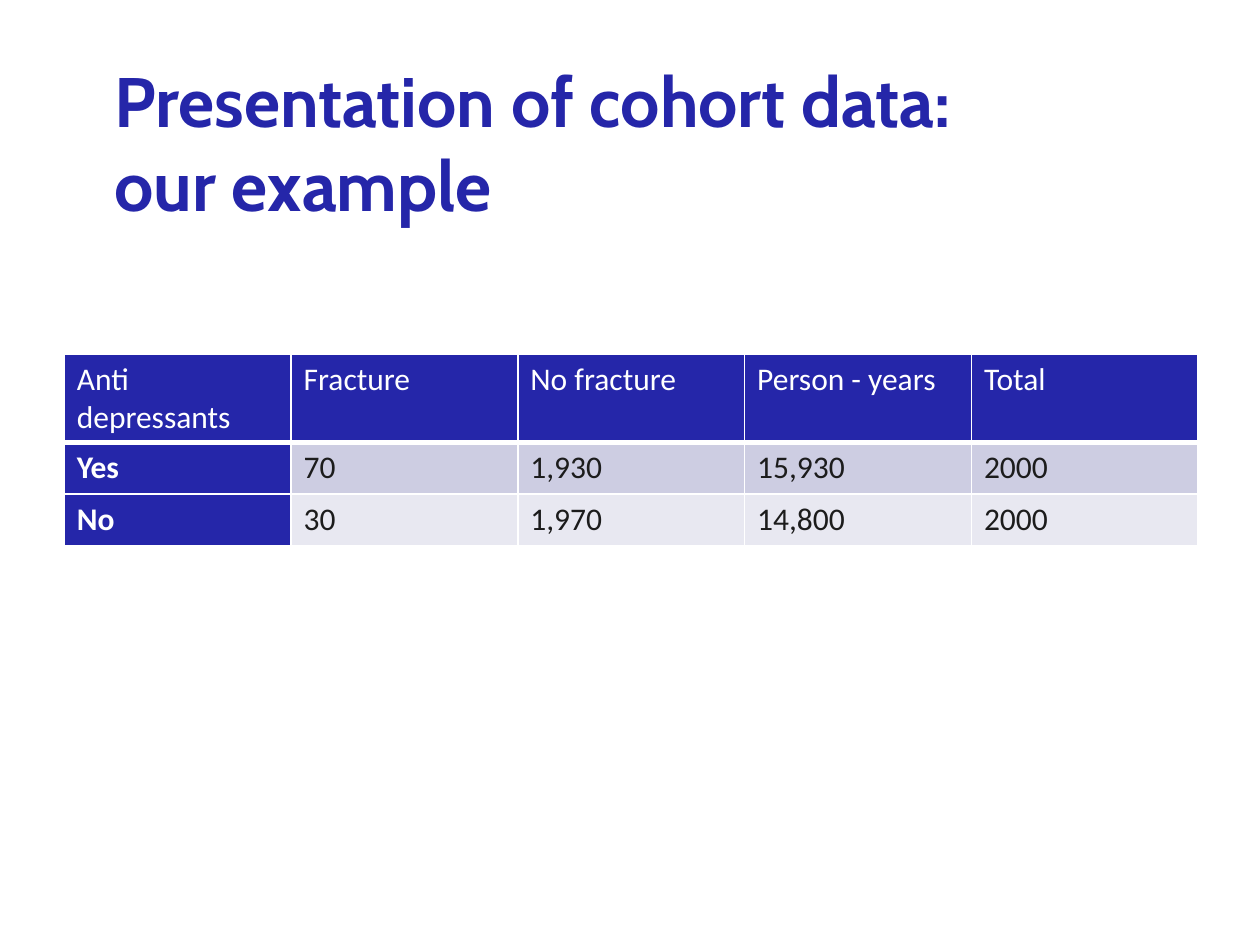
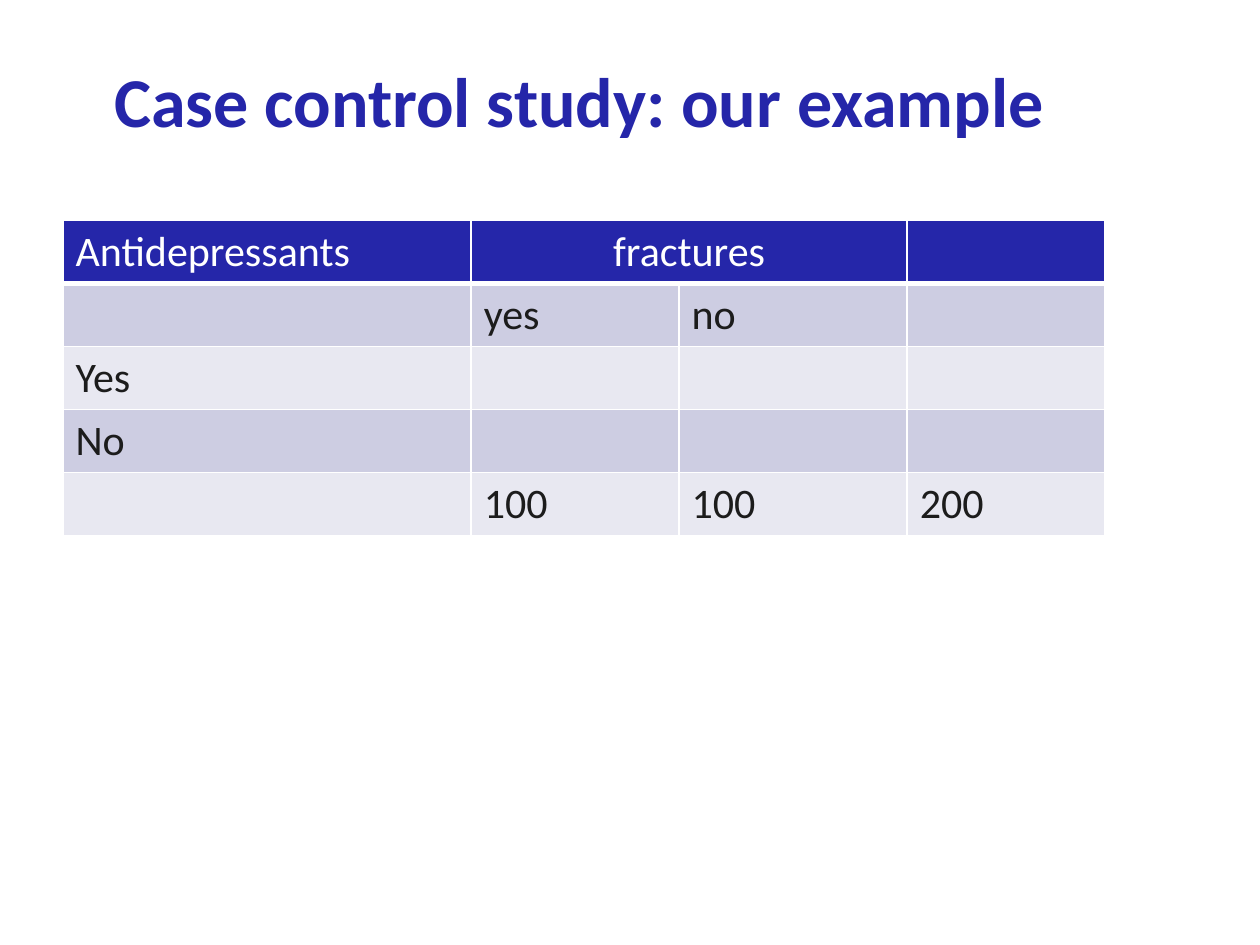
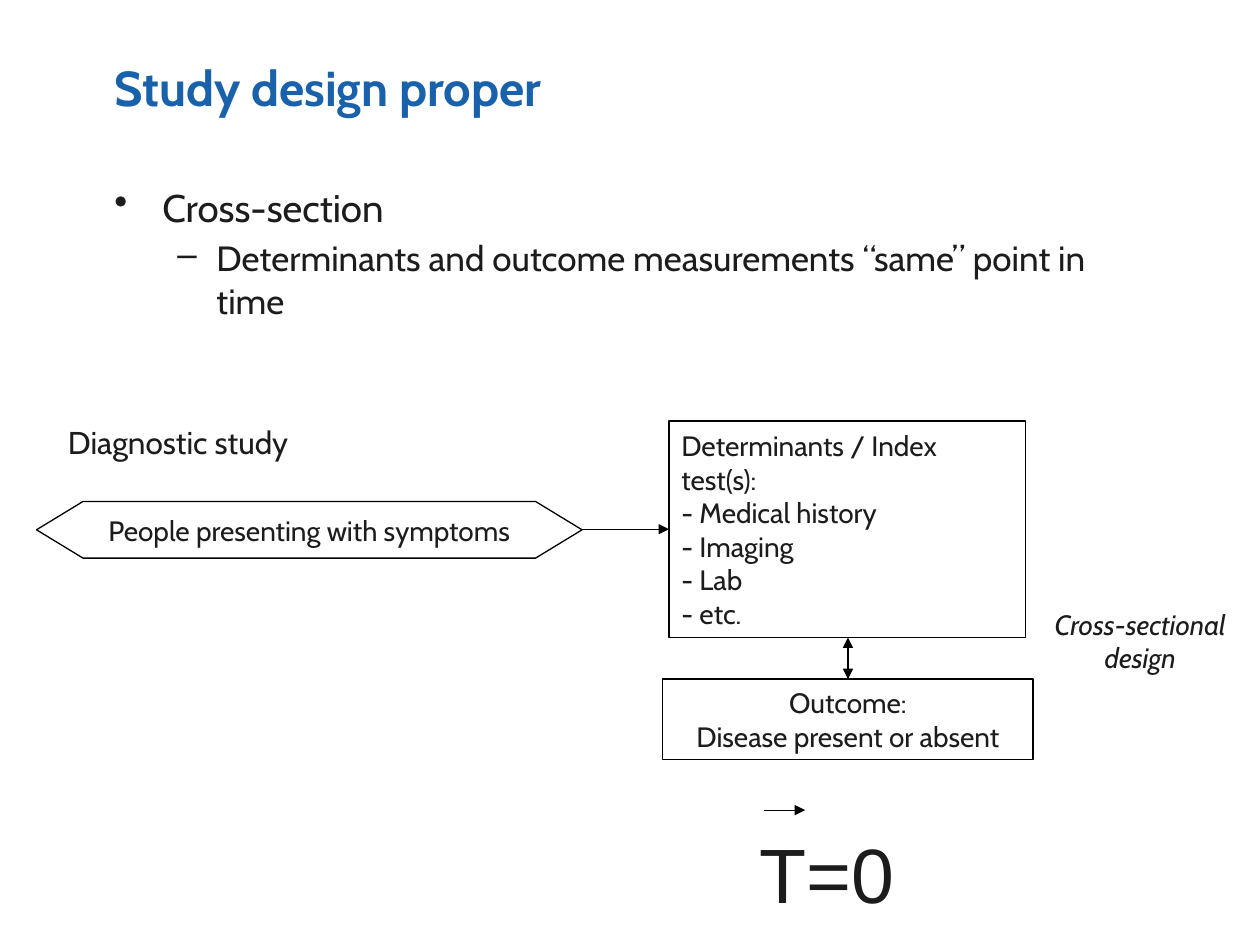
"""Build three slides on cohort, case control and cross-sectional studies."""
import dataclasses
import typing

import pptx
import pptx.dml.color
import pptx.enum.shapes
import pptx.enum.text
import pptx.oxml.ns
import pptx.util
from lxml import etree

SHAPE = pptx.enum.shapes.MSO_SHAPE
ALIGN = pptx.enum.text.PP_ALIGN
FIT = pptx.enum.text.MSO_AUTO_SIZE
ANCHOR = pptx.enum.text.MSO_ANCHOR
qn = pptx.oxml.ns.qn

COLS, ROWS = 100, 75
WIDE, HIGH = pptx.util.Inches(10), pptx.util.Inches(7.5)


@dataclasses.dataclass(frozen=True)
class Theme:
    """Colours, fonts and type sizes of the deck."""
    navy: str = "2526A9"
    blue: str = "1961AB"
    ink: str = "1C1C1C"
    white: str = "FFFFFF"
    black: str = "000000"
    bands: tuple[str, str] = ("CDCDE2", "E8E8F1")
    main: str = "Cabin"
    grid: str = "Calibri"
    plain: str = "Arial"
    title: int = 40
    small: int = 28
    point: int = 22
    sub: int = 20
    label: int = 18
    note: int = 16
    cell: int = 24
    time: int = 44
    line: float = 0.75


THEME = Theme()


@dataclasses.dataclass(frozen=True)
class Area:
    """A box in grid columns and rows."""
    left: float
    top: float
    width: float
    height: float

    def spans(self) -> tuple[int, int, int, int]:
        """Return the box as lengths on the slide."""
        return across(self.left), down(self.top), across(self.width), down(self.height)


@dataclasses.dataclass(frozen=True)
class Node:
    """A text label or an outlined box of the diagram."""
    area: Area
    text: str
    shape: typing.Any = None
    wrap: bool = False
    inset: tuple[float, float] = (1, 0.5)
    style: dict[str, typing.Any] = dataclasses.field(default_factory=dict)


@dataclasses.dataclass(frozen=True)
class Link:
    """A line with an arrowhead at its end, or at both ends."""
    start: tuple[float, float]
    end: tuple[float, float]
    both: bool = False


TITLE = Area(8.1, 4.1, 82.5, 8.9)
BODY = Area(8.1, 14.1, 82.5, 46.3)
MID = {"align": ALIGN.CENTER}

NODES = (
    Node(Area(4.4, 33.1, 20.5, 4), "Diagnostic study", style={"size": THEME.label}),
    Node(Area(2.9, 39.8, 43.3, 4.5), "People presenting with symptoms",
         SHAPE.HEXAGON, inset=(0.2, 0.4), style=MID),
    Node(Area(53.1, 33.4, 28.3, 17.2),
         "Determinants / Index test(s):\n- Medical history\n- Imaging\n- Lab\n- etc.",
         SHAPE.RECTANGLE, wrap=True),
    Node(Area(52.6, 53.9, 29.4, 6.4), "Outcome:\nDisease present or absent",
         SHAPE.RECTANGLE, wrap=True, style=MID),
    Node(Area(82.2, 47.7, 16.6, 6.4), "Cross-sectional\ndesign",
         style={**MID, "slant": True}),
    Node(Area(59.3, 65.1, 12.8, 8.4), "T=0",
         style={"size": THEME.time, "face": THEME.plain}),
)

LINKS = (
    Link((67.3, 50.6), (67.3, 53.9), both=True),
    Link((60.6, 64.3), (63.9, 64.3)),
    Link((46.2, 42), (53.1, 42)),
)


def across(cols: float) -> int:
    """Turn grid columns into a length."""
    return round(WIDE * cols / COLS)


def down(rows: float) -> int:
    """Turn grid rows into a length."""
    return round(HIGH * rows / ROWS)


def paint(tint: str) -> pptx.dml.color.RGBColor:
    """Return a colour from its hex code."""
    return pptx.dml.color.RGBColor.from_string(tint)


def write(frame: typing.Any, text: str, *, size: float = THEME.note,
          face: str = THEME.main, tint: str = THEME.ink, bold: bool = False,
          slant: bool = False, align: typing.Any = ALIGN.LEFT, mark: str = "",
          left: float = 0, hang: float = 0, gap: float = 0, level: int = 0) -> None:
    """Add one paragraph for each line of text."""
    for line in text.split("\n"):
        par = frame.add_paragraph() if frame.text else frame.paragraphs[0]
        par.text = line
        par.alignment = align
        par.level = level
        if mark:
            props = par._p.get_or_add_pPr()
            props.set("marL", str(across(left)))
            props.set("indent", str(-across(hang)))
            etree.SubElement(props, qn("a:buChar"), char=mark)
        if gap:
            par.space_before = pptx.util.Pt(gap)
        for run in par.runs:
            font = run.font
            font.size, font.name = pptx.util.Pt(size), face
            font.bold, font.italic = bold, slant
            font.color.rgb = paint(tint)


def add_box(slide: typing.Any, area: Area) -> typing.Any:
    """Add a wrapped text box and return its frame."""
    frame = slide.shapes.add_textbox(*area.spans()).text_frame
    frame.word_wrap = True
    return frame


def add_page(deck: typing.Any, title: str, **style: typing.Any) -> typing.Any:
    """Add a blank slide with a title."""
    slide = deck.slides.add_slide(deck.slide_layouts[6])
    look = {"size": THEME.title, "tint": THEME.navy, "bold": True, **style}
    write(add_box(slide, TITLE), title, **look)
    return slide


def edge(cell: typing.Any, head: bool) -> None:
    """Draw the white borders of a cell."""
    props = cell._tc.get_or_add_tcPr()
    for side in "LRTB":
        width = 3 if head and side == "B" else 1
        line = etree.SubElement(props, qn(f"a:ln{side}"), w=str(pptx.util.Pt(width)))
        fill = etree.SubElement(line, qn("a:solidFill"))
        etree.SubElement(fill, qn("a:srgbClr"), val=THEME.white)


def add_grid(slide: typing.Any, left: float, top: float, widths: typing.Sequence[float],
             rows: typing.Sequence[typing.Sequence[str]], *, size: float,
             side: bool = False, merge: int = -1) -> None:
    """Add a banded table, with a head column or a merged head if asked."""
    area = Area(left, top, sum(widths), 4.1 * len(rows))
    table = slide.shapes.add_table(len(rows), len(widths), *area.spans()).table
    table.first_row = table.horz_banding = False
    for col, width in zip(table.columns, widths):
        col.width = across(width)
    for r, row in enumerate(rows):
        for c, text in enumerate(row):
            cell = table.cell(r, c)
            head = r == 0
            dark = head or (side and c == 0)
            edge(cell, head)
            cell.fill.solid()
            cell.fill.fore_color.rgb = paint(THEME.navy if dark else THEME.bands[(r - 1) % 2])
            if text:
                write(cell.text_frame, text, size=size, face=THEME.grid,
                      tint=THEME.white if dark else THEME.ink, bold=dark and not head,
                      align=ALIGN.CENTER if head and c == merge else ALIGN.LEFT)
    if merge >= 0:
        table.cell(0, merge).merge(table.cell(0, merge + 1))


def add_node(slide: typing.Any, node: Node) -> None:
    """Draw a label or an outlined box."""
    if node.shape is None:
        shape = slide.shapes.add_textbox(*node.area.spans())
    else:
        shape = slide.shapes.add_shape(node.shape, *node.area.spans())
        shape.shadow.inherit = False
        shape.fill.background()
        shape.line.color.rgb = paint(THEME.black)
        shape.line.width = pptx.util.Pt(THEME.line)
        shape.text_frame.vertical_anchor = ANCHOR.MIDDLE
    if node.shape == SHAPE.HEXAGON:
        shape.adjustments[0] = 0.82
    frame = shape.text_frame
    frame.word_wrap = node.wrap
    frame.auto_size = FIT.SHAPE_TO_FIT_TEXT
    frame.margin_left = frame.margin_right = across(node.inset[0])
    frame.margin_top = frame.margin_bottom = down(node.inset[1])
    write(frame, node.text, **node.style)


def add_link(slide: typing.Any, link: Link) -> None:
    """Draw a line with its arrowheads."""
    (x, y), (to_x, to_y) = link.start, link.end
    line = slide.shapes.add_connector(
        pptx.enum.shapes.MSO_CONNECTOR.STRAIGHT, across(x), down(y), across(to_x), down(to_y))
    line.line.color.rgb = paint(THEME.black)
    line.line.width = pptx.util.Pt(THEME.line)
    stroke = line.line._get_or_add_ln()
    for end in ("headEnd", "tailEnd") if link.both else ("tailEnd",):
        etree.SubElement(stroke, qn(f"a:{end}"), type="triangle")
    etree.SubElement(line._element.spPr, qn("a:effectLst"))


def show_cohort(deck: typing.Any) -> None:
    """Build the cohort data slide."""
    slide = add_page(deck, "Presentation of cohort data:\vour example")
    rows = (
        ("Anti depressants", "Fracture", "No fracture", "Person - years", "Total"),
        ("Yes", "70", "1,930", "15,930", "2000"),
        ("No", "30", "1,970", "14,800", "2000"),
    )
    add_grid(slide, 5.1, 28.1, [18] * 5, rows, size=THEME.label, side=True)


def show_case(deck: typing.Any) -> None:
    """Build the case control slide."""
    slide = add_page(deck, "Case control study: our example", face=THEME.grid)
    rows = (
        ("Antidepressants", "fractures", "", ""),
        ("", "yes", "no", ""),
        ("Yes", "", "", ""),
        ("No", "", "", ""),
        ("", "100", "100", "200"),
    )
    add_grid(slide, 5, 17.5, (32.4, 16.5, 18.1, 15.7), rows, size=THEME.cell, merge=1)


def show_cross(deck: typing.Any) -> None:
    """Build the cross-section slide."""
    slide = add_page(deck, "Study design proper", size=THEME.small, tint=THEME.blue)
    frame = add_box(slide, BODY)
    write(frame, "Cross-section", size=THEME.point, mark="•", left=3.8, hang=3.8)
    write(frame, "Determinants and outcome measurements “same” point in time",
          size=THEME.sub, mark="–", left=8.1, hang=3.1, gap=4, level=1)
    for node in NODES:
        add_node(slide, node)
    for link in LINKS:
        add_link(slide, link)


def main() -> None:
    """Build and save the deck."""
    deck = pptx.Presentation()
    deck.slide_width, deck.slide_height = WIDE, HIGH
    for show in (show_cohort, show_case, show_cross):
        show(deck)
    deck.save("out.pptx")


if __name__ == "__main__":
    main()
